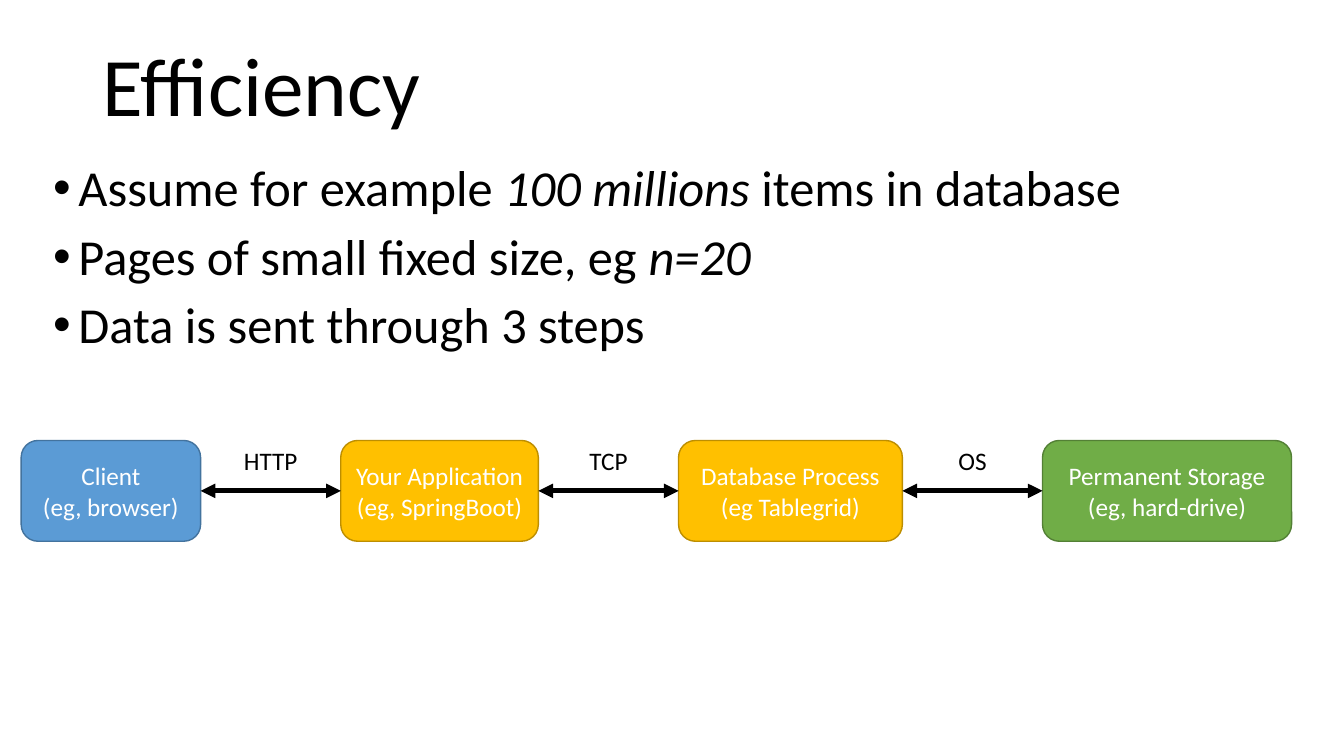
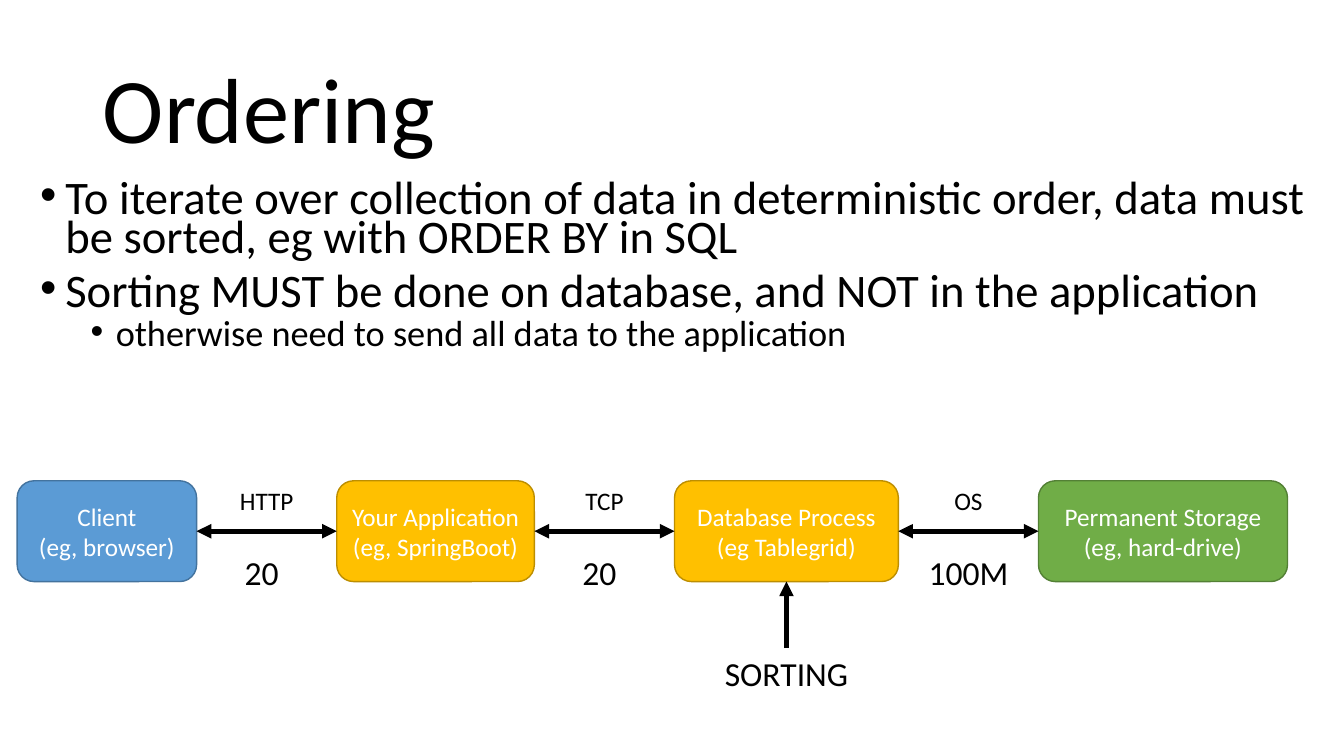
from dataclasses import dataclass

from lxml import etree
from pptx import Presentation
from pptx.dml.color import RGBColor
from pptx.enum.shapes import MSO_CONNECTOR, MSO_SHAPE
from pptx.enum.text import MSO_ANCHOR, MSO_AUTO_SIZE, PP_ALIGN
from pptx.oxml.ns import qn
from pptx.util import Emu, Pt

PX = 9144  # 100 px to the inch
TITLE_ONLY = 5
STRAIGHT = MSO_CONNECTOR.STRAIGHT
ROUNDED = MSO_SHAPE.ROUNDED_RECTANGLE
LEFT, CENTER = PP_ALIGN.LEFT, PP_ALIGN.CENTER
MIDDLE = MSO_ANCHOR.MIDDLE
NO_FIT = MSO_AUTO_SIZE.NONE
SITE_LEFT, SITE_BOTTOM, SITE_RIGHT = 1, 2, 3


@dataclass(frozen=True)
class Theme:
    font: str = "Calibri"
    text: str = "000000"
    inverse: str = "FFFFFF"
    blue: tuple = ("5B9BD5", "43739E")
    gold: tuple = ("FFC000", "BD8E00")
    green: tuple = ("70AD47", "538035")
    label: float = 18
    count: float = 24
    outline: float = 1
    arrow: float = 3.5
    title_spacing: float = 0.9


THEME = Theme()

STAGES = [
    ("Client\n(eg, browser)", 178, THEME.blue),
    ("Your Application\n(eg, SpringBoot)", 196, THEME.gold),
    ("Database Process\n(eg Tablegrid)", 222, THEME.gold),
    ("Permanent Storage\n(eg, hard-drive)", 247, THEME.green),
]
PROTOCOLS = ["HTTP", "TCP", "OS"]
STAGE_H, STAGE_GAP = 100, 139


def px(*lengths):
    return [Emu(round(n * PX)) for n in lengths]


def rgb(code):
    return RGBColor.from_string(code)


def format_runs(p, size, color=THEME.text):
    for r in p.runs:
        r.font.name = THEME.font
        r.font.size = Pt(size)
        r.font.color.rgb = rgb(color)


def add_title(slide, text, box, size):
    sp = slide.shapes.title
    sp.left, sp.top, sp.width, sp.height = px(*box)
    tf = sp.text_frame
    tf.text = text
    tf.auto_size = NO_FIT
    tf.vertical_anchor = MIDDLE
    p = tf.paragraphs[0]
    p.alignment = LEFT
    p.line_spacing = THEME.title_spacing
    format_runs(p, size)


def set_bullet(p, level):
    pPr = p._p.get_or_add_pPr()
    margin, hanging = px(25 + 50 * level, -25)
    pPr.set("marL", str(margin))
    pPr.set("indent", str(hanging))
    etree.SubElement(pPr, qn("a:buFont")).set("typeface", "Arial")
    etree.SubElement(pPr, qn("a:buChar")).set("char", "•")


def add_bullets(slide, items, box, sizes, spacing):
    """Each item is a level and its text, where *stars* enclose italics."""
    tf = slide.shapes.add_textbox(*px(*box)).text_frame
    tf.word_wrap = True
    for i, (level, text) in enumerate(items):
        p = tf.add_paragraph() if i else tf.paragraphs[0]
        p.level = level
        p.line_spacing = spacing
        p.space_before = Pt(5 if level else 10)
        set_bullet(p, level)
        for j, part in enumerate(text.split("*")):
            if part:
                r = p.add_run()
                r.text = part
                r.font.italic = j % 2 == 1
        format_runs(p, sizes[level])


def add_label(slide, text, box, size):
    tf = slide.shapes.add_textbox(*px(*box)).text_frame
    tf.word_wrap = True
    tf.text = text
    p = tf.paragraphs[0]
    p.alignment = CENTER
    format_runs(p, size)


def add_stage(slide, text, box, colors):
    fill, line = colors
    sp = slide.shapes.add_shape(ROUNDED, *px(*box))
    sp.shadow.inherit = False
    sp.fill.solid()
    sp.fill.fore_color.rgb = rgb(fill)
    sp.line.color.rgb = rgb(line)
    sp.line.width = Pt(THEME.outline)
    tf = sp.text_frame
    tf.text = text
    tf.vertical_anchor = MIDDLE
    for p in tf.paragraphs:
        p.alignment = CENTER
        format_runs(p, THEME.label, THEME.inverse)
    return sp


def add_arrow(slide, start, end, ends=("tailEnd",)):
    line = slide.shapes.add_connector(STRAIGHT, *px(*start, *end))
    line.line.color.rgb = rgb(THEME.text)
    line.line.width = Pt(THEME.arrow)
    ln = line.line._get_or_add_ln()
    for name in ends:
        etree.SubElement(ln, qn(f"a:{name}")).set("type", "triangle")
    etree.SubElement(line._element.spPr, qn("a:effectLst"))
    return line


def add_pipeline(slide, left, top):
    """Draw the linked stages; return each stage with its left and width."""
    placed = []
    x, middle = left, top + STAGE_H / 2
    for text, width, colors in STAGES:
        sp = add_stage(slide, text, (x, top, width, STAGE_H), colors)
        placed.append((sp, x, width))
        x += width + STAGE_GAP
    for protocol, (source, x, width), (target, target_x, _) in zip(
            PROTOCOLS, placed, placed[1:]):
        gap_x = x + width
        line = add_arrow(slide, (gap_x, middle), (target_x, middle),
                         ("headEnd", "tailEnd"))
        line.begin_connect(source, SITE_RIGHT)
        line.end_connect(target, SITE_LEFT)
        add_label(slide, protocol, (gap_x, top, STAGE_GAP, 40), THEME.label)
    return placed


def add_counts(slide, placed, top, counts):
    for (text, shift), (_, x, width) in zip(counts, placed):
        box = (x + width + shift, top, STAGE_GAP, 50)
        add_label(slide, text, box, THEME.count)


def add_callout(slide, text, stage, bottom, drop):
    sp, x, width = stage
    center, top = x + width / 2, bottom + drop
    add_label(slide, text, (x, top, width, 50), THEME.count)
    arrow = add_arrow(slide, (center, top), (center, bottom))
    arrow.end_connect(sp, SITE_BOTTOM)


def add_slide(prs):
    return prs.slides.add_slide(prs.slide_layouts[TITLE_ONLY])


def efficiency_slide(prs):
    slide = add_slide(prs)
    add_title(slide, "Efficiency", (92, 40, 1150, 97), 59.4)
    add_bullets(slide, [
        (0, "Assume for example *100 millions *items in database"),
        (0, "Pages of small fixed size, eg *n=20*"),
        (0, "Data is sent through 3 steps"),
    ], (43, 157, 1194, 217), (36,), 0.9)
    add_pipeline(slide, 21, 437)


def ordering_slide(prs):
    slide = add_slide(prs)
    add_title(slide, "Ordering", (92, 40, 1150, 145), 66)
    add_bullets(slide, [
        (0, "To iterate over collection of data in deterministic order, "
            "data must be sorted, eg with ORDER BY in SQL"),
        (0, "Sorting MUST be done on database, and NOT in the application"),
        (1, "otherwise need to send all data to the application"),
    ], (30, 177, 1280, 197), (33.3, 25.9), 0.7)
    top = 477
    placed = add_pipeline(slide, 17, top)
    add_counts(slide, placed, top + 66, [("20", -5), ("20", -5), ("100M", 0)])
    add_callout(slide, "SORTING", placed[2], top + STAGE_H, 66)


def main():
    prs = Presentation()
    prs.slide_width, prs.slide_height = px(1333, 750)
    efficiency_slide(prs)
    ordering_slide(prs)
    prs.save("out.pptx")


if __name__ == "__main__":
    main()
